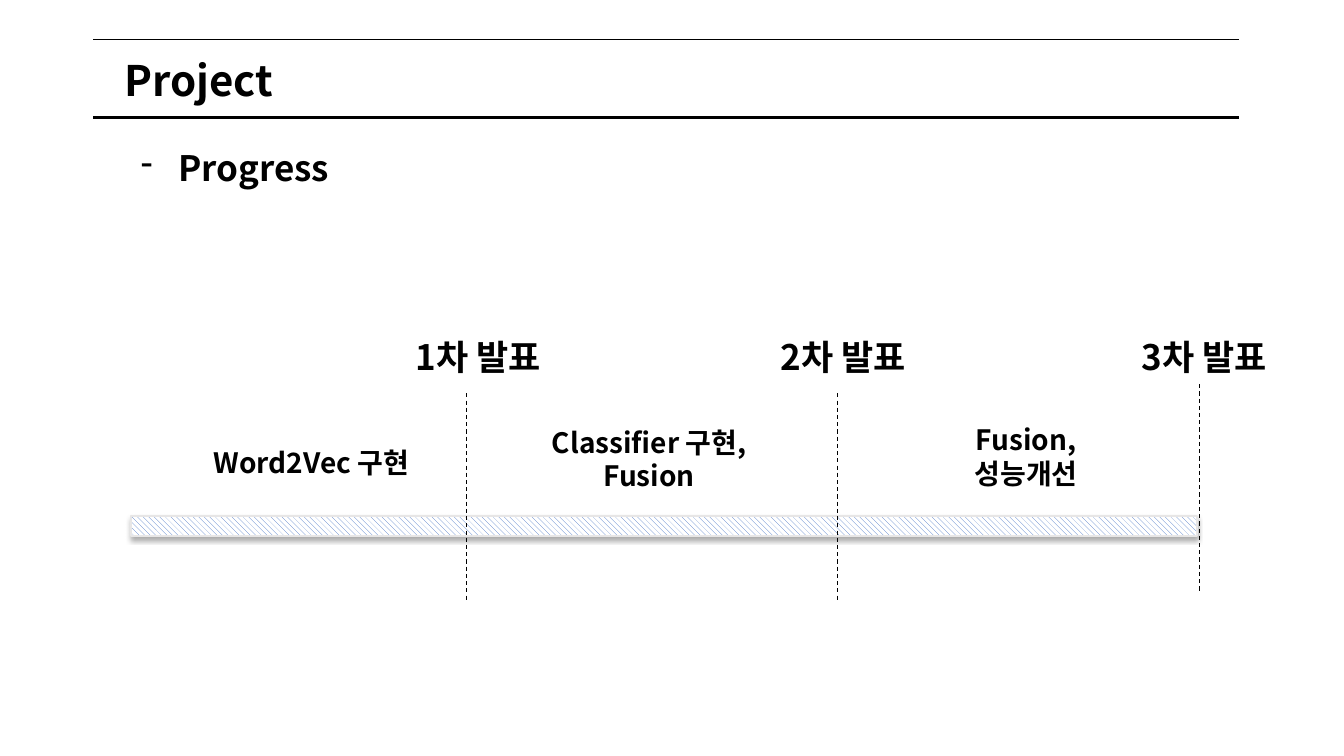
from lxml import etree
from pptx import Presentation
from pptx import util as u
from pptx.dml import color
from pptx.enum import dml, shapes, text
from pptx.oxml import ns

FONT = "Noto Sans CJK KR"
BLACK, WHITE, BLUE, GREY = "000000", "FFFFFF", "4472C4", "E7E6E6"


def rgb(value):
    return color.RGBColor.from_string(value)


def add_node(parent, tag, **attributes):
    return etree.SubElement(parent, ns.qn(tag), attributes)


class TimelinePage:
    """Draws styled elements on the current slide."""

    def __init__(self, deck):
        self.page = deck.slides.add_slide(deck.slide_layouts[6])

    def style(self, para, size):
        for span in para.runs:
            span.font.size = u.Pt(size)
            span.font.bold = True
            span.font.color.rgb = rgb(BLACK)
            span.font.name = FONT
            add_node(span.font._element, "a:ea", typeface=FONT)

    def label(self, words, place, size, align=text.PP_ALIGN.CENTER):
        box = self.page.shapes.add_textbox(*map(u.Cm, place))
        frame = box.text_frame
        frame.word_wrap = True
        frame.auto_size = text.MSO_AUTO_SIZE.SHAPE_TO_FIT_TEXT
        frame.text = words
        for para in frame.paragraphs:
            para.alignment = align
            self.style(para, size)
        return frame

    def bullet(self, words, place, size):
        frame = self.label(words, place, size, text.PP_ALIGN.LEFT)
        indent = u.Cm(0.95)
        props = frame.paragraphs[0]._p.get_or_add_pPr()
        props.set("marL", str(indent))
        props.set("indent", str(-indent))
        add_node(props, "a:buFontTx")
        add_node(props, "a:buChar", char="-")

    def title(self, words, place, size):
        table = self.page.shapes.add_table(1, 1, *map(u.Cm, place)).table
        table.first_row = table.horz_banding = False
        cell = table.cell(0, 0)
        cell.fill.background()
        cell.vertical_anchor = text.MSO_ANCHOR.MIDDLE
        cell.margin_left, cell.margin_right = u.Cm(0.8), u.Cm(0.3)
        cell.text_frame.text = words
        self.style(cell.text_frame.paragraphs[0], size)
        props = cell._tc.get_or_add_tcPr()
        borders = (("L", WHITE, 1), ("R", WHITE, 1), ("T", BLACK, 1), ("B", BLACK, 2.25))
        for index, (side, shade, width) in enumerate(borders):
            edge = add_node(props, f"a:ln{side}", w=str(u.Pt(width)))
            add_node(add_node(edge, "a:solidFill"), "a:srgbClr", val=shade)
            props.insert(index, edge)

    def bar(self, place):
        bar = self.page.shapes.add_shape(shapes.MSO_SHAPE.RECTANGLE, *map(u.Cm, place))
        bar.fill.patterned()
        bar.fill.pattern = dml.MSO_PATTERN.WIDE_DOWNWARD_DIAGONAL
        bar.fill.fore_color.rgb = rgb(BLUE)
        bar.fill.back_color.rgb = rgb(WHITE)
        bar.line.color.rgb = rgb(GREY)
        bar.line.width = u.Pt(1)
        bar.shadow.inherit = False
        effects = bar._element.spPr.find(ns.qn("a:effectLst"))
        shadow = add_node(effects, "a:outerShdw", blurRad=str(u.Pt(3.5)),
                          dist=str(u.Pt(2.2)), dir="5400000", rotWithShape="0")
        add_node(add_node(shadow, "a:srgbClr", val=BLACK), "a:alpha", val="32000")

    def marker(self, left, top, height):
        line = self.page.shapes.add_connector(
            shapes.MSO_CONNECTOR.STRAIGHT, *map(u.Cm, (left, top, left, top + height)))
        line.line.color.rgb = rgb(BLACK)
        line.line.width = u.Pt(0.75)
        line.line.dash_style = dml.MSO_LINE.DASH
        add_node(line._element.spPr, "a:effectLst")


def main():
    deck = Presentation()
    deck.slide_width, deck.slide_height = u.Cm(33.87), u.Cm(19.05)
    page = TimelinePage(deck)
    page.bullet("Progress", (3.3, 3.56, 27.28, 1.32), 25)
    page.title("Project", (2.34, 0.99, 28.91, 1.98), 30)
    page.bar((3.3, 13, 26.87, 0.51))

    milestones = (
        ("1차 발표", 9.75, 11.76, 9.91),
        ("2차 발표", 18.95, 21.11, 9.91),
        ("3차 발표", 28.04, 30.23, 9.68),
    )
    for words, left, line_left, line_top in milestones:
        page.marker(line_left, line_top, 5.26)
        page.label(words, (left, 8.33, 4.6, 1.32), 25)

    tasks = (
        ("Word2Vec 구현", 4.37, 11.1, 1.12),
        ("Classifier 구현,\nFusion", 12.88, 10.59, 1.96),
        ("Fusion,\n성능개선", 22.38, 10.52, 1.96),
    )
    for words, left, top, height in tasks:
        page.label(words, (left, top, 6.96, height), 20)

    deck.save("out.pptx")


if __name__ == "__main__":
    main()
